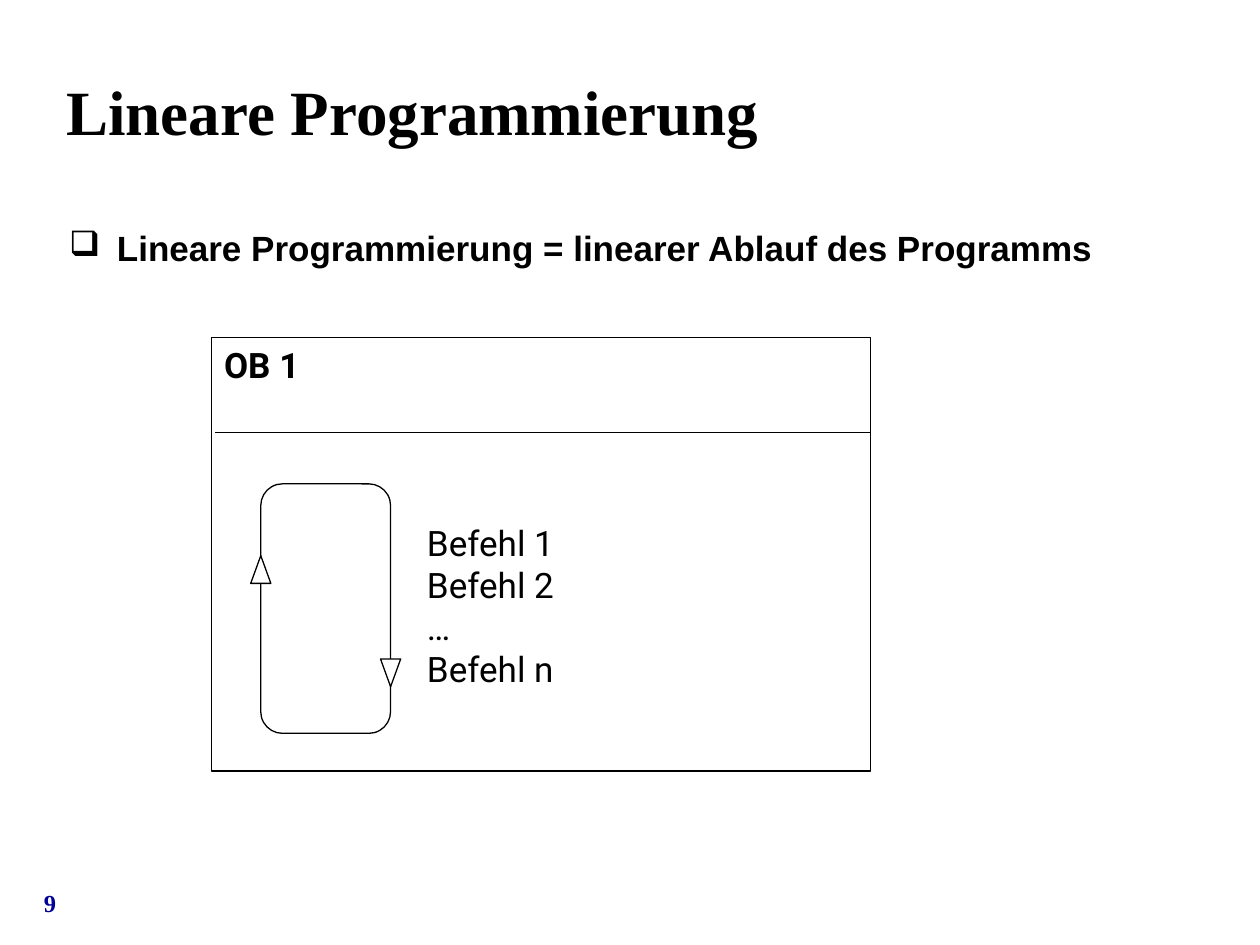
import dataclasses

import pptx
import pptx.dml.color
import pptx.enum.shapes
import pptx.enum.text
import pptx.oxml
import pptx.oxml.ns
import pptx.util

Inches = pptx.util.Inches
Pt = pptx.util.Pt
Shapes = pptx.enum.shapes.MSO_SHAPE
Anchor = pptx.enum.text.MSO_ANCHOR


@dataclasses.dataclass(frozen=True)
class Theme:
    ink: str = "000000"
    paper: str = "FFFFFF"
    number: str = "000099"
    title_font: str = "Times New Roman"
    body_font: str = "Arial"
    diagram_font: str = "Roboto"
    title_size: int = 36
    body_size: int = 20
    number_size: int = 14
    line_width: float = 0.75


@dataclasses.dataclass(frozen=True)
class Box:
    left: float
    top: float
    width: float
    height: float

    def inches(self):
        return [Inches(value) for value in dataclasses.astuple(self)]


THEME = Theme()


def rgb(value):
    return pptx.dml.color.RGBColor.from_string(value)


def write_text(shape, paragraphs, font=THEME.body_font, size=THEME.body_size,
               color=THEME.ink, bold=False, anchor=Anchor.TOP, wrap=True):
    frame = shape.text_frame
    frame.word_wrap = wrap
    frame.vertical_anchor = anchor
    frame.text = "\n".join(paragraphs)
    for paragraph in frame.paragraphs:
        paragraph.alignment = pptx.enum.text.PP_ALIGN.LEFT
        for run in paragraph.runs:
            run.font.name = font
            run.font.size = Pt(size)
            run.font.bold = bold
            run.font.color.rgb = rgb(color)


def add_bullet(paragraph, character, color, indent):
    properties = paragraph._p.get_or_add_pPr()
    properties.set("marL", str(Inches(indent)))
    properties.set("indent", str(-Inches(indent)))
    namespace = pptx.oxml.ns.nsdecls("a")
    for xml in (
        f'<a:buClr {namespace}><a:srgbClr val="{color}"/></a:buClr>',
        f'<a:buChar {namespace} char="{character}"/>',
    ):
        properties.append(pptx.oxml.parse_xml(xml))


def add_outlined(shapes, kind, box):
    shape = shapes.add_shape(kind, *box.inches())
    shape.shadow.inherit = False
    shape.fill.solid()
    shape.fill.fore_color.rgb = rgb(THEME.paper)
    shape.line.color.rgb = rgb(THEME.ink)
    shape.line.width = Pt(THEME.line_width)
    return shape


def add_divider(shapes, left, right, y):
    line = shapes.add_connector(
        pptx.enum.shapes.MSO_CONNECTOR.STRAIGHT,
        Inches(left), Inches(y), Inches(right), Inches(y))
    line.line.color.rgb = rgb(THEME.ink)
    line.line.width = Pt(THEME.line_width)
    line._element.spPr.append(pptx.oxml.parse_xml(
        f'<a:effectLst {pptx.oxml.ns.nsdecls("a")}/>'))


def add_title(slide, box):
    shape = slide.shapes.add_textbox(*box.inches())
    write_text(shape, ["Lineare Programmierung"], font=THEME.title_font,
               size=THEME.title_size, bold=True, anchor=Anchor.MIDDLE)


def add_body(slide, box):
    shape = slide.shapes.add_textbox(*box.inches())
    write_text(shape, ["Lineare Programmierung = linearer Ablauf des Programms"],
               bold=True)
    paragraph = shape.text_frame.paragraphs[0]
    paragraph.line_spacing = 0.9
    add_bullet(paragraph, "❑", THEME.ink, indent=0.38)


def add_cycle(shapes, box):
    loop = add_outlined(shapes, Shapes.ROUNDED_RECTANGLE, box)
    loop.adjustments[0] = 0.167
    width, height = 0.16, 0.22
    for x, drop, rotation in ((box.left, 0.57, 0),
                              (box.left + box.width, 1.39, 180)):
        arrow = add_outlined(shapes, Shapes.ISOSCELES_TRIANGLE,
                             Box(x - width / 2, box.top + drop, width, height))
        arrow.rotation = rotation


def add_block_diagram(slide, box):
    shapes = slide.shapes.add_group_shape().shapes
    block = add_outlined(shapes, Shapes.RECTANGLE, box)
    write_text(block, ["OB 1"], font=THEME.diagram_font, bold=True)
    add_divider(shapes, box.left + 0.03, box.left + box.width, box.top + 0.75)
    add_cycle(shapes, Box(box.left + 0.39, box.top + 1.16, 1.03, 1.98))
    commands = shapes.add_textbox(
        *Box(box.left + 1.61, box.top + 1.41, 2.19, 1.8).inches())
    write_text(commands, ["Befehl 1\vBefehl 2\v…", "Befehl n"],
               font=THEME.diagram_font)


def add_slide_number(slide, box):
    shape = slide.shapes.add_textbox(*box.inches())
    write_text(shape, ["9"], font=THEME.title_font, size=THEME.number_size,
               color=THEME.number, bold=True, wrap=False)


def main():
    presentation = pptx.Presentation()
    presentation.slide_width = Inches(10)
    presentation.slide_height = Inches(7.5)
    slide = presentation.slides.add_slide(presentation.slide_layouts[6])
    add_slide_number(slide, Box(0.25, 7, 0.61, 0.33))
    add_title(slide, Box(0.43, 0.5, 8.5, 0.75))
    add_body(slide, Box(0.45, 1.79, 8.5, 4.5))
    add_block_diagram(slide, Box(1.68, 2.68, 5.23, 3.44))
    presentation.save("out.pptx")


if __name__ == "__main__":
    main()
